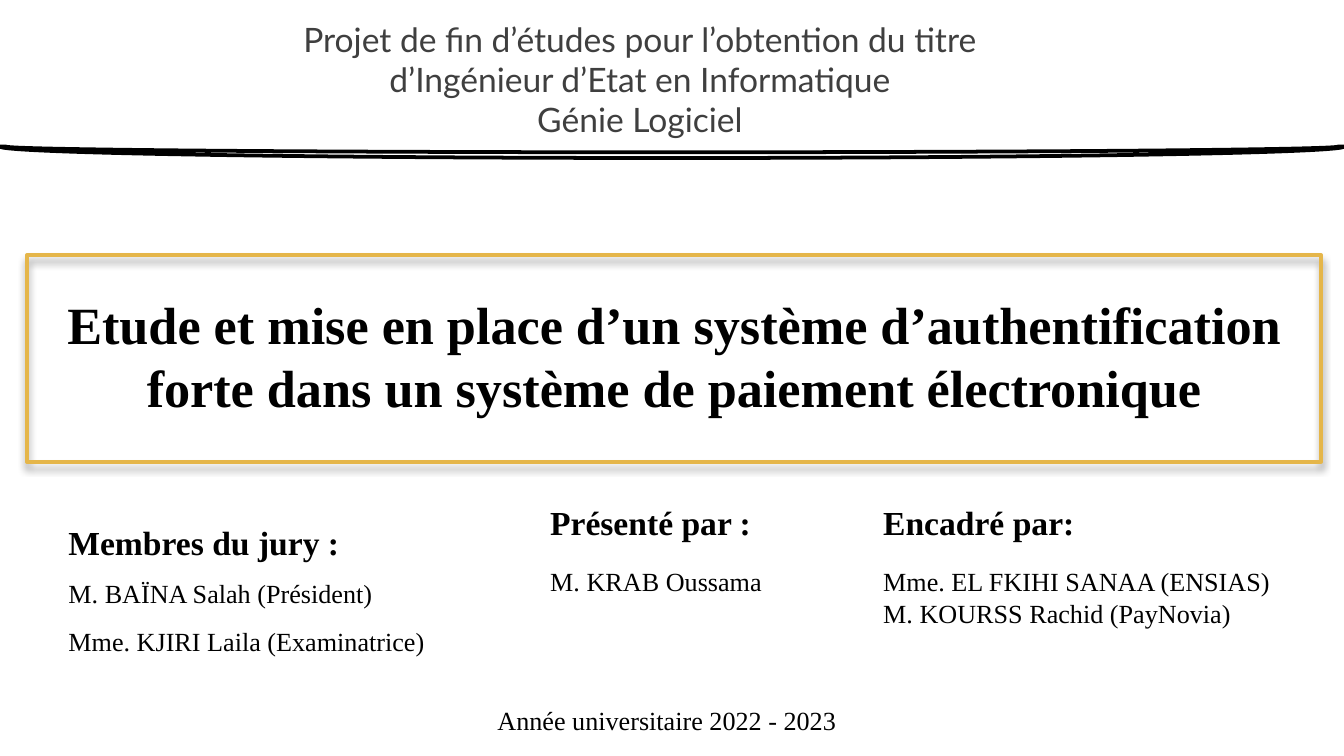
from dataclasses import dataclass

from lxml.etree import SubElement
from pptx import Presentation
from pptx.dml.color import RGBColor
from pptx.enum.shapes import MSO_SHAPE
from pptx.enum.text import MSO_ANCHOR, MSO_AUTO_SIZE, PP_ALIGN
from pptx.oxml.ns import qn
from pptx.util import Emu, Pt

SCALE = 914400 / 134.4


def px(length):
    return Emu(round(length * SCALE))


@dataclass(frozen=True)
class Theme:
    ink: RGBColor = RGBColor(0, 0, 0)
    grey: RGBColor = RGBColor(0x3F, 0x3F, 0x3F)
    gold: RGBColor = RGBColor(0xE5, 0xB6, 0x4A)
    paper: RGBColor = RGBColor(255, 255, 255)
    serif: str = "Times New Roman"
    sans: str = "Lato"
    title: int = 28
    heading: int = 18
    body: int = 14
    line: int = 2


class CoverSlide:
    """Draws the cover elements on one slide in one theme."""

    def __init__(self, presentation, theme):
        self.theme = theme
        self.slide = presentation.slides.add_slide(presentation.slide_layouts[1])

    def place(self, shape, box):
        shape.left, shape.top, shape.width, shape.height = map(px, box)

    def fill_text(self, shape, lines, size, bold=False, align=PP_ALIGN.LEFT, font=None, color=None):
        frame = shape.text_frame
        frame.word_wrap = True
        frame.auto_size = MSO_AUTO_SIZE.NONE
        frame.vertical_anchor = MSO_ANCHOR.TOP
        frame.text = "\n".join(lines)
        for paragraph in frame.paragraphs:
            paragraph.alignment = align
            for run in paragraph.runs:
                run.font.name = font or self.theme.serif
                run.font.size = Pt(size)
                run.font.bold = bold
                run.font.color.rgb = color or self.theme.ink

    def text(self, box, lines, size, **style):
        shape = self.slide.shapes.add_textbox(*map(px, box))
        self.fill_text(shape, lines, size, **style)

    def title(self, box, wording):
        shape = self.slide.shapes.title
        self.place(shape, box)
        self.fill_text(shape, [wording], self.theme.title, bold=True, align=PP_ALIGN.CENTER)

    def jury(self, box, heading, members):
        shape = self.slide.placeholders[1]
        self.place(shape, box)
        self.fill_text(shape, [heading, *members], self.theme.body)
        paragraphs = shape.text_frame.paragraphs
        for paragraph in paragraphs:
            paragraph.line_spacing = 1.5
            paragraph.space_before = Pt(0)
            properties = paragraph._p.get_or_add_pPr()
            properties.set("marL", "0")
            properties.set("indent", "0")
            SubElement(properties, qn("a:buNone"))
        font = paragraphs[0].runs[0].font
        font.size, font.bold = Pt(self.theme.heading), True

    def outline(self, kind, box, color):
        shape = self.slide.shapes.add_shape(kind, *map(px, box))
        shape.shadow.inherit = False
        shape.line.color.rgb = color
        shape.line.width = Pt(self.theme.line)
        return shape

    def frame(self, box):
        shape = self.outline(MSO_SHAPE.RECTANGLE, box, self.theme.gold)
        shape.fill.background()
        effects = shape._element.spPr.find(qn("a:effectLst"))
        shadow = SubElement(effects, qn("a:outerShdw"), blurRad=str(Pt(4)), dist=str(Pt(3)),
                            dir="5400000", rotWithShape="0")
        color = SubElement(shadow, qn("a:srgbClr"), val=str(self.theme.ink))
        SubElement(color, qn("a:alpha"), val="40000")

    def arc(self, box):
        shape = self.outline(MSO_SHAPE.BLOCK_ARC, box, self.theme.ink)
        shape.fill.solid()
        shape.fill.fore_color.rgb = self.theme.paper
        shape.rotation = 180
        for index, value in enumerate((108, 0, 0.25)):
            shape.adjustments[index] = value


def main():
    presentation = Presentation()
    presentation.slide_width, presentation.slide_height = px(1344), px(756)
    theme = Theme()
    cover = CoverSlide(presentation, theme)

    cover.frame((27, 255, 1294, 207))
    cover.title((16, 286, 1316, 168),
                "Etude et mise en place d’un système d’authentification "
                "forte dans un système de paiement électronique")
    cover.arc((0, 135, 1344, 23))
    cover.text((192, 12, 896, 136),
               ["Projet de fin d’études pour l’obtention du titre",
                "d’Ingénieur d’Etat en Informatique", "Génie Logiciel"],
               theme.heading, align=PP_ALIGN.CENTER, font=theme.sans, color=theme.grey)

    cover.jury((55, 495, 488, 202), "Membres du jury :",
               ["M. BAÏNA Salah (Président)", "Mme. KJIRI Laila (Examinatrice)"])
    columns = (
        (537, 274, "Présenté par :", ["M. KRAB Oussama"]),
        (870, 445, "Encadré par:", ["Mme. EL FKIHI SANAA (ENSIAS)", "M. KOURSS Rachid (PayNovia)"]),
    )
    for left, width, heading, names in columns:
        cover.text((left, 495, width, 54), [heading], theme.heading, bold=True)
        cover.text((left, 559, width, 31 * len(names) + 14), names, theme.body)
    cover.text((483, 698, 368, 46), ["Année universitaire 2022 - 2023"],
               theme.body, align=PP_ALIGN.CENTER)

    presentation.save("out.pptx")


if __name__ == "__main__":
    main()
